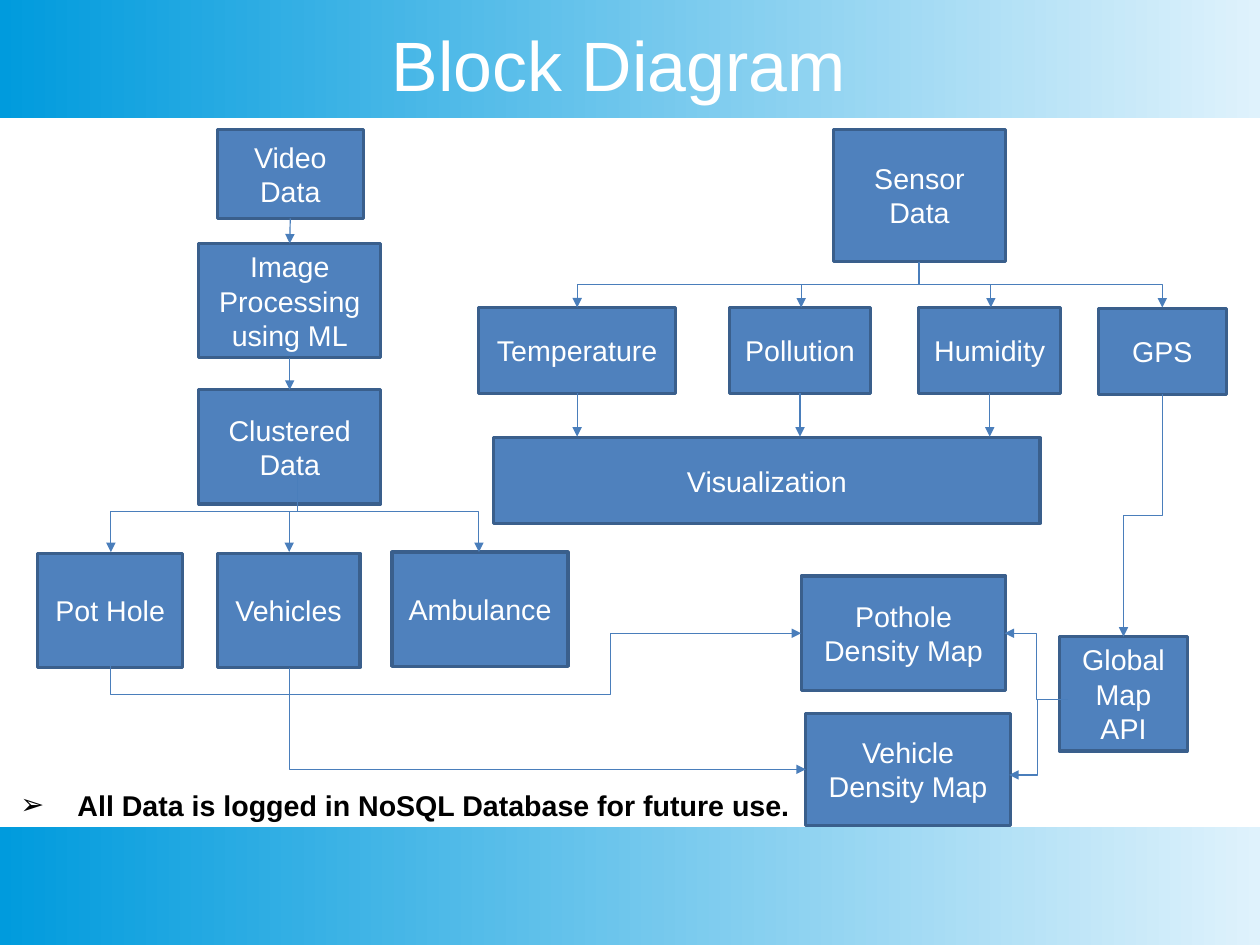
"""Build the block diagram slide of the video and sensor data flow."""
from dataclasses import dataclass
from typing import Optional

import pptx
import pptx.dml.color
import pptx.enum.dml
import pptx.enum.shapes
import pptx.enum.text
import pptx.oxml
import pptx.oxml.ns
import pptx.util
from pptx.util import Inches

COLORS = {
    "band_light": "DFF2FC",
    "band_dark": "009BDD",
    "box": "4F81BD",
    "border": "3A5F8C",
    "arrow": "4A7EBB",
    "white": "FFFFFF",
    "black": "000000",
}
FONT = "Arial"
SLIDE_WIDTH, SLIDE_HEIGHT = pptx.util.Emu(10080625), pptx.util.Emu(7559675)
BAND_HEIGHT = 1.03
BOTTOM, TOP = 2, 0


@dataclass(frozen=True)
class Block:
    label: str
    left: float
    top: float
    width: float
    height: float = 1.0


@dataclass(frozen=True)
class Elbow:
    start: tuple[float, float]
    end: tuple[float, float]
    bends: int = 2
    vertical: bool = True
    percents: tuple[float, ...] = ()


@dataclass(frozen=True)
class Arrow:
    source: str
    target: Optional[str] = None
    length: float = 0.38


BLOCKS = [
    Block("Video Data", 1.9, 1.13, 1.28, 0.78),
    Block("Sensor Data", 7.29, 1.13, 1.51, 1.16),
    Block("Image Processing using ML", 1.74, 2.13, 1.59),
    Block("Pot Hole", 0.33, 4.84, 1.27),
    Block("Vehicles", 1.9, 4.84, 1.25),
    Block("GPS", 9.61, 2.7, 1.12, 0.75),
    Block("Pollution", 6.38, 2.69, 1.24, 0.75),
    Block("Temperature", 4.19, 2.69, 1.72, 0.75),
    Block("Clustered Data", 1.74, 3.41, 1.59),
    Block("Ambulance", 3.43, 4.83, 1.54),
    Block("Vehicle Density Map", 7.05, 6.24, 1.79, 0.98),
    Block("Pothole Density Map", 7.01, 5.04, 1.79),
    Block("Humidity", 8.04, 2.69, 1.24, 0.75),
    Block("Visualization", 4.32, 3.83, 4.78, 0.75),
    Block("Global Map API", 9.27, 5.57, 1.12),
]
CLUSTER_EXIT, SENSOR_EXIT = (2.6, 4.12), (8.04, 2.29)
ELBOWS = [
    *(Elbow(CLUSTER_EXIT, (x, 4.83)) for x in (2.53, 0.97, 4.19)),
    *(Elbow(SENSOR_EXIT, (x, 2.69)) for x in (5.05, 7.01, 10.17, 8.67)),
    Elbow((2.53, 5.84), (7.05, 6.73), bends=1),
    Elbow((0.97, 5.83), (7.01, 5.54), bends=3, percents=(-83.7, 72.4)),
    Elbow((9.34, 6.12), (8.79, 5.54), vertical=False),
    Elbow((9.26, 6.12), (8.83, 6.78), vertical=False, percents=(42,)),
    Elbow((10.17, 3.45), (9.83, 5.57)),
]
ARROWS = [
    *(Arrow(sensor) for sensor in ("Pollution", "Temperature", "Humidity")),
    Arrow("Video Data", "Image Processing using ML"),
    Arrow("Image Processing using ML", "Clustered Data"),
]


def rgb(name: str) -> pptx.dml.color.RGBColor:
    return pptx.dml.color.RGBColor.from_string(COLORS[name])


def add_xml(parent, tag: str, **attributes: str):
    element = pptx.oxml.parse_xml(f"<a:{tag} {pptx.oxml.ns.nsdecls('a')}/>")
    for name, value in attributes.items():
        element.set(name, value)
    parent.append(element)
    return element


def write(frame, text: str, size: int, color: str, bold: bool = False, centered: bool = True):
    frame.word_wrap = True
    frame.text = text
    para = frame.paragraphs[0]
    if centered:
        frame.vertical_anchor = pptx.enum.text.MSO_ANCHOR.MIDDLE
        para.alignment = pptx.enum.text.PP_ALIGN.CENTER
    for span in para.runs:
        span.font.name, span.font.size, span.font.bold = FONT, pptx.util.Pt(size), bold
        span.font.color.rgb = rgb(color)
    return para


def add_rectangle(page, left: int, top: int, width: int, height: int):
    kind = pptx.enum.shapes.MSO_SHAPE.RECTANGLE
    box = page.shapes.add_shape(kind, left, top, width, height)
    box.shadow.inherit = False
    return box


def add_band(page, top: int) -> None:
    band = add_rectangle(page, 0, top, SLIDE_WIDTH, Inches(BAND_HEIGHT))
    band.line.fill.background()
    band.fill.gradient()
    band.fill.gradient_angle = 180
    for stop, position, color in zip(band.fill.gradient_stops, (0, 1), ("band_light", "band_dark")):
        stop.position = position
        stop.color.rgb = rgb(color)


def add_title(page) -> None:
    box = page.shapes.add_textbox(Inches(1.35), Inches(0.22), Inches(8.13), Inches(0.68))
    frame = box.text_frame
    frame.margin_left = frame.margin_right = frame.margin_top = frame.margin_bottom = 0
    write(frame, "Block Diagram", 44, "white")


def add_note(page) -> None:
    box = page.shapes.add_textbox(Inches(0.08), Inches(6.84), Inches(8.23), Inches(0.4))
    text = "All Data is logged in NoSQL Database for future use."
    para = write(box.text_frame, text, 18, "black", bold=True, centered=False)
    properties = para._p.get_or_add_pPr()
    properties.set("marL", str(Inches(0.5)))
    properties.set("indent", str(-Inches(0.5)))
    add_xml(add_xml(properties, "buClr"), "srgbClr", val=COLORS["black"])
    add_xml(properties, "buFont", typeface=FONT)
    add_xml(properties, "buChar", char="➢")


def add_block(page, block: Block):
    lengths = (block.left, block.top, block.width, block.height)
    box = add_rectangle(page, *map(Inches, lengths))
    box.fill.solid()
    box.fill.fore_color.rgb = rgb("box")
    box.line.color.rgb = rgb("border")
    box.line.width = pptx.util.Pt(2)
    write(box.text_frame, block.label, 18, "white")
    return box


def add_line(page, kind, left: float, top: float, right: float, bottom: float):
    line = page.shapes.add_connector(kind, Inches(left), Inches(top), Inches(right), Inches(bottom))
    line.line.color.rgb = rgb("arrow")
    line.line.width = pptx.util.Pt(0.75)
    add_xml(line.line._get_or_add_ln(), "tailEnd", type="triangle")
    add_xml(line._element.spPr, "effectLst")
    return line


def add_elbow(page, elbow: Elbow) -> None:
    (x1, y1), (x2, y2) = elbow.start, elbow.end
    rightward, downward = x2 > x1, y2 > y1
    width, height = abs(x2 - x1), abs(y2 - y1)
    if elbow.vertical:
        width, height = height, width
        turn = 270 if rightward and downward else 90
        flip_h, flip_v = rightward, not downward
    else:
        turn, flip_h, flip_v = 180, rightward, downward
    left, top = (x1 + x2 - width) / 2, (y1 + y2 - height) / 2
    kind = pptx.enum.shapes.MSO_CONNECTOR.ELBOW
    line = add_line(page, kind, left, top, left + width, top + height)
    frame = line._element.spPr.find(pptx.oxml.ns.qn("a:xfrm"))
    frame.set("rot", str(turn * 60000))
    frame.set("flipH", str(int(flip_h)))
    frame.set("flipV", str(int(flip_v)))
    geometry = line._element.spPr.find(pptx.oxml.ns.qn("a:prstGeom"))
    geometry.set("prst", f"bentConnector{elbow.bends + 1}")
    guides = geometry.find(pptx.oxml.ns.qn("a:avLst"))
    for number, percent in enumerate(elbow.percents, 1):
        add_xml(guides, "gd", name=f"adj{number}", fmla=f"val {round(percent * 1000)}")


def add_arrow(page, arrow: Arrow, boxes: dict) -> None:
    block = next(item for item in BLOCKS if item.label == arrow.source)
    x, y = block.left + block.width / 2, block.top + block.height
    line = add_line(page, pptx.enum.shapes.MSO_CONNECTOR.STRAIGHT, x, y, x, y + arrow.length)
    line.begin_connect(boxes[arrow.source], BOTTOM)
    if arrow.target:
        line.end_connect(boxes[arrow.target], TOP)


def main() -> None:
    deck = pptx.Presentation()
    deck.slide_width, deck.slide_height = SLIDE_WIDTH, SLIDE_HEIGHT
    page = deck.slides.add_slide(deck.slide_layouts[6])
    for top in (0, SLIDE_HEIGHT - Inches(BAND_HEIGHT)):
        add_band(page, top)
    add_title(page)
    boxes = {block.label: add_block(page, block) for block in BLOCKS}
    add_note(page)
    for elbow in ELBOWS:
        add_elbow(page, elbow)
    for arrow in ARROWS:
        add_arrow(page, arrow, boxes)
    deck.save("out.pptx")


if __name__ == "__main__":
    main()
